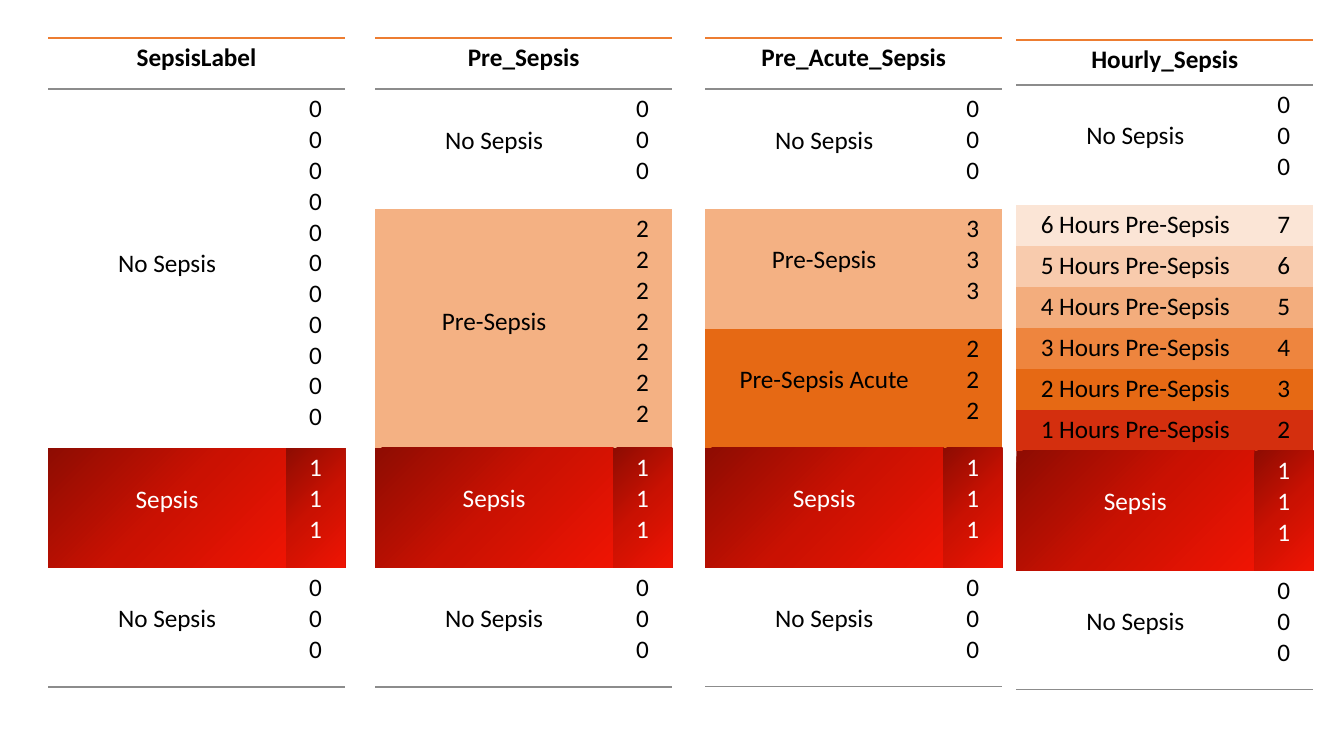
from lxml import etree
from pptx import Presentation
from pptx import util as u
from pptx.dml.color import RGBColor
from pptx.enum import text
from pptx.oxml.ns import qn

PX = 914400 / 100.8
ORANGE, GRAY = "ED7D31", "8C8C8C"
RED = [(0, "8E0C02"), (50, "CA1102"), (100, "EF1403")]
LABEL_W, VALUE_W = 238, 59
NO_GRID = "{2D5ABB26-0587-4C30-8999-92F81FD0307C}"


def px(n):
    """Turn pixels into EMU."""
    return u.Emu(round(n * PX))


def rgb(value):
    """Turn a hex string into a colour."""
    return RGBColor.from_string(value)


# Each band: label, value, number of hours, height, fill
first = ("No Sepsis", "0", 3, 120, "FFFFFF")
ending = [("Sepsis", "1", 3, 120, RED), ("No Sepsis", "0", 3, 119, "FFFFFF")]
hour_fills = ["FBE5D6", "F8CBAD", "F3AD7D", "EE853E", "E66914", "D42F0E"]
hours = [(f"{6 - i} Hours Pre-Sepsis", str(7 - i), 1, 41, fill)
         for i, fill in enumerate(hour_fills)]

# Each table: title, left, top, header height, bands
tables = [
    ("SepsisLabel", 48, 38, 51, [("No Sepsis", "0", 11, 359, "FFFFFF")]),
    ("Pre_Sepsis", 375, 38, 51,
     [first, ("Pre-Sepsis", "2", 7, 239, "F4B183")]),
    ("Pre_Acute_Sepsis", 705, 38, 51,
     [first, ("Pre-Sepsis", "3", 3, 120, "F4B183"),
      ("Pre-Sepsis Acute", "2", 3, 119, "E66914")]),
    ("Hourly_Sepsis", 1016, 40, 45, [first] + hours),
]

prs = Presentation()
prs.slide_width, prs.slide_height = u.Inches(13.33), u.Inches(7.5)
s = prs.slides.add_slide(prs.slide_layouts[6])

for title, left, top, header_h, middle in tables:
    rows = [(title, "", 1, header_h, "FFFFFF")] + middle + ending
    heights = [row[3] for row in rows]
    frame = s.shapes.add_table(len(rows), 2, px(left), px(top),
                               px(LABEL_W + VALUE_W), px(sum(heights)))
    table = frame.table
    table.first_row = table.horz_banding = False
    table._tbl.tblPr.find(qn("a:tableStyleId")).text = NO_GRID
    table.columns[0].width, table.columns[1].width = px(LABEL_W), px(VALUE_W)
    table.cell(0, 0).merge(table.cell(0, 1))

    for i, (label, value, count, height, fill) in enumerate(rows):
        table.rows[i].height = px(height)
        for j, content in enumerate([label, "\n".join([value] * count)]):
            cell = table.cell(i, j)
            cell.vertical_anchor = text.MSO_ANCHOR.TOP
            # The label stands level with the middle value
            cell.margin_top = px(5 + (31 * (count // 2) if j == 0 else 0))
            cell.margin_bottom = px(5)
            cell.text_frame.text = content
            for p in cell.text_frame.paragraphs:
                p.alignment = text.PP_ALIGN.CENTER
                for r in p.runs:
                    r.font.name, r.font.size = "Calibri", u.Pt(18)
                    r.font.bold = i == 0
                    r.font.color.rgb = rgb("FFFFFF" if fill is RED else "000000")

            tcPr = cell._tc.get_or_add_tcPr()
            if fill is RED:
                grad = etree.SubElement(tcPr, qn("a:gradFill"), rotWithShape="1")
                stops = etree.SubElement(grad, qn("a:gsLst"))
                for pos, colour in fill:
                    gs = etree.SubElement(stops, qn("a:gs"), pos=str(pos * 1000))
                    etree.SubElement(gs, qn("a:srgbClr"), val=colour)
                etree.SubElement(grad, qn("a:lin"), ang="2700000", scaled="0")
            else:
                cell.fill.solid()
                cell.fill.fore_color.rgb = rgb(fill)

            edges = []
            if i in (0, len(rows) - 1):
                edges.append(("a:lnB", GRAY))
            if i == 0:
                edges.append(("a:lnT", ORANGE))
            for tag, colour in edges:
                ln = etree.Element(qn(tag), w=str(u.Pt(1)))
                solid = etree.SubElement(ln, qn("a:solidFill"))
                etree.SubElement(solid, qn("a:srgbClr"), val=colour)
                tcPr.insert(0, ln)

prs.save("out.pptx")
